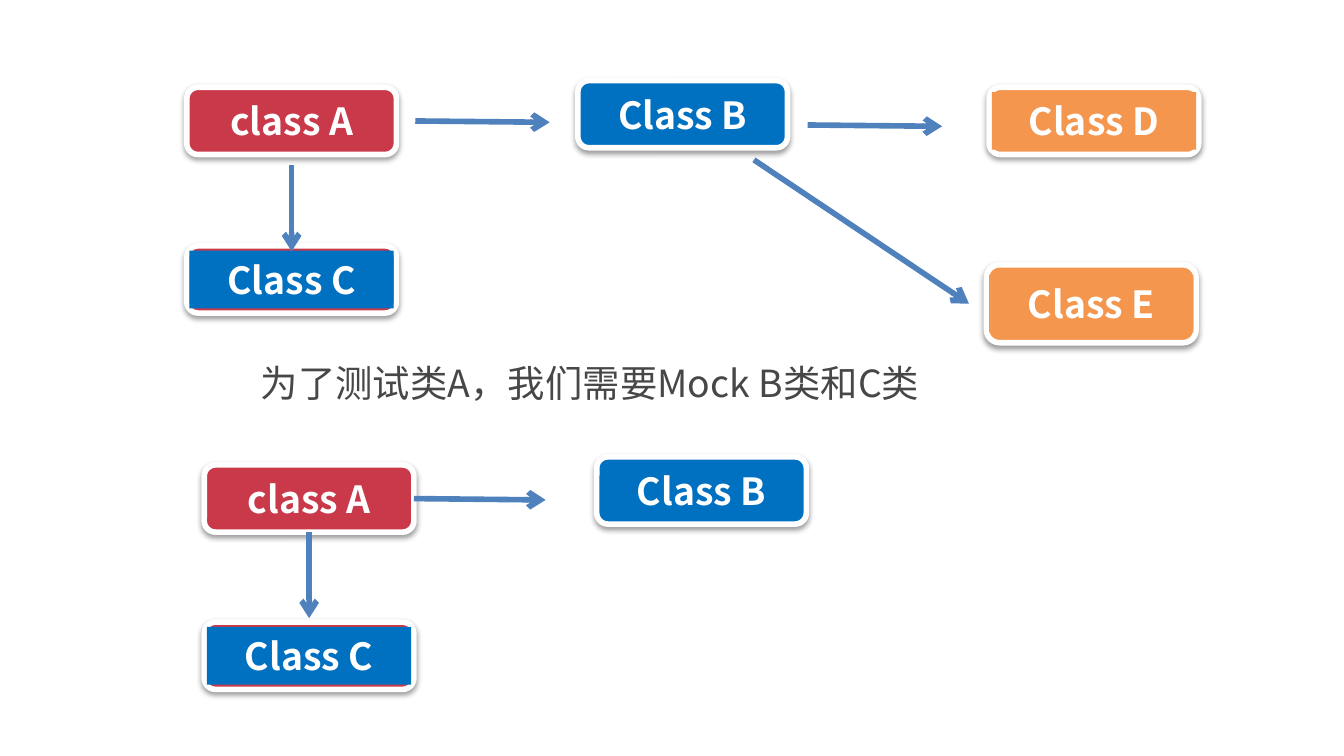
"""Build a slide that shows which classes to mock when testing class A."""
from lxml import etree
from pptx import Presentation
from pptx import util as u
from pptx.dml.color import RGBColor
from pptx.enum import shapes, text
from pptx.oxml.ns import qn

COLORS = {
    "red": "C9394A",
    "blue": "0070C0",
    "orange": "F5964F",
    "arrow": "4F81BD",
    "white": "FFFFFF",
    "body": "474747",
    "shadow": "000000",
}
FONT = "Noto Sans CJK SC"
SLIDE_WIDTH = 10
BOX_WIDTH, BOX_HEIGHT = 1.56, 0.5
LABEL_WIDTH, LABEL_HEIGHT = 1.52, 0.43

CLASSES = [
    ("class A", 1.39, 0.65, BOX_HEIGHT, "red", None),
    ("Class C", 1.39, 1.83, BOX_HEIGHT, "red", "blue"),
    ("Class B", 4.3, 0.6, BOX_HEIGHT, "blue", None),
    ("Class D", 7.36, 0.65, BOX_HEIGHT, "orange", "orange"),
    ("Class E", 7.34, 1.97, 0.58, "orange", "orange"),
]
MOCKED_CLASSES = [
    ("Class C", 1.52, 4.63, BOX_HEIGHT, "red", "blue"),
    ("Class B", 4.44, 3.4, BOX_HEIGHT, "blue", None),
]
DEPENDENCIES = [
    ((3.09, 0.9), (4.09, 0.91)),
    ((6.01, 0.93), (7.01, 0.94)),
    ((5.61, 1.19), (7.21, 2.26)),
    ((2.17, 1.23), (2.17, 1.87)),
]


def rgb(name):
    return RGBColor.from_string(COLORS[name])


def add_shadow(box):
    box.shadow.inherit = False
    effects = box._element.spPr.find(qn("a:effectLst"))
    outer = etree.SubElement(effects, qn("a:outerShdw"), blurRad=str(u.Pt(3)),
                             dist=str(u.Pt(1.6)), dir="5400000", rotWithShape="0")
    tint = etree.SubElement(outer, qn("a:srgbClr"), val=COLORS["shadow"])
    etree.SubElement(tint, qn("a:alpha"), val="38000")


def add_text(parent, wording, left, top, width, height, color, inset=0.05):
    area = parent.add_textbox(*map(u.Inches, (left, top, width, height)))
    frame = area.text_frame
    frame.word_wrap = True
    frame.auto_size = text.MSO_AUTO_SIZE.NONE
    frame.vertical_anchor = text.MSO_ANCHOR.MIDDLE
    frame.margin_left = u.Inches(inset)
    frame.margin_top = frame.margin_right = frame.margin_bottom = u.Inches(0.05)
    paragraph = frame.paragraphs[0]
    paragraph.text = wording
    font = paragraph.font
    font.name, font.size = FONT, u.Pt(20)
    font.color.rgb = rgb(color)
    latin = paragraph._p.pPr.find(".//" + qn("a:latin"))
    east_asian = etree.Element(qn("a:ea"), typeface=FONT)
    latin.addnext(east_asian)
    return area


def add_class(slide, name, left, top, height, color, label_color):
    group = slide.shapes.add_group_shape().shapes
    box = group.add_shape(shapes.MSO_SHAPE.ROUNDED_RECTANGLE,
                          *map(u.Inches, (left, top, BOX_WIDTH, height)))
    box.fill.solid()
    box.fill.fore_color.rgb = rgb(color)
    box.line.color.rgb = rgb("white")
    box.line.width = u.Pt(3)
    add_shadow(box)

    label = add_text(group, name, left + (BOX_WIDTH - LABEL_WIDTH) / 2,
                     top + (height - LABEL_HEIGHT) / 2,
                     LABEL_WIDTH, LABEL_HEIGHT, "white")
    paragraph = label.text_frame.paragraphs[0]
    paragraph.alignment = text.PP_ALIGN.CENTER
    paragraph.font.bold = True
    if label_color:
        label.fill.solid()
        label.fill.fore_color.rgb = rgb(label_color)
    return box


def add_arrow(slide, start, end):
    arrow = slide.shapes.add_connector(shapes.MSO_CONNECTOR.STRAIGHT,
                                       *map(u.Inches, start + end))
    arrow.line.color.rgb = rgb("arrow")
    arrow.line.width = u.Pt(3)
    etree.SubElement(arrow.line._get_or_add_ln(), qn("a:tailEnd"), type="arrow")
    etree.SubElement(arrow._element.spPr, qn("a:effectLst"))
    return arrow


def add_explanation(slide):
    explanation = add_text(slide.shapes, "为了测试类A，我们需要Mock B类和C类",
                           1.44, 2.63, 7.26, 0.44, "body", inset=0)
    properties = explanation.text_frame.paragraphs[0]._p.get_or_add_pPr()
    properties.set("marL", "0")
    properties.set("indent", str(u.Inches(0.5)))


def main():
    presentation = Presentation()
    presentation.slide_width = u.Inches(SLIDE_WIDTH)
    presentation.slide_height = u.Inches(SLIDE_WIDTH * 9 / 16)
    slide = presentation.slides.add_slide(presentation.slide_layouts[6])

    for class_details in CLASSES:
        add_class(slide, *class_details)
    for start, end in DEPENDENCIES:
        add_arrow(slide, start, end)
    add_explanation(slide)

    tested = add_class(slide, "class A", 1.52, 3.46, BOX_HEIGHT, "red", None)
    for class_details in MOCKED_CLASSES:
        add_class(slide, *class_details)
    add_arrow(slide, (3.08, 3.71), (4.06, 3.72)).begin_connect(tested, 3)
    add_arrow(slide, (2.3, 3.96), (2.3, 4.6)).begin_connect(tested, 2)

    presentation.save("out.pptx")


if __name__ == "__main__":
    main()
